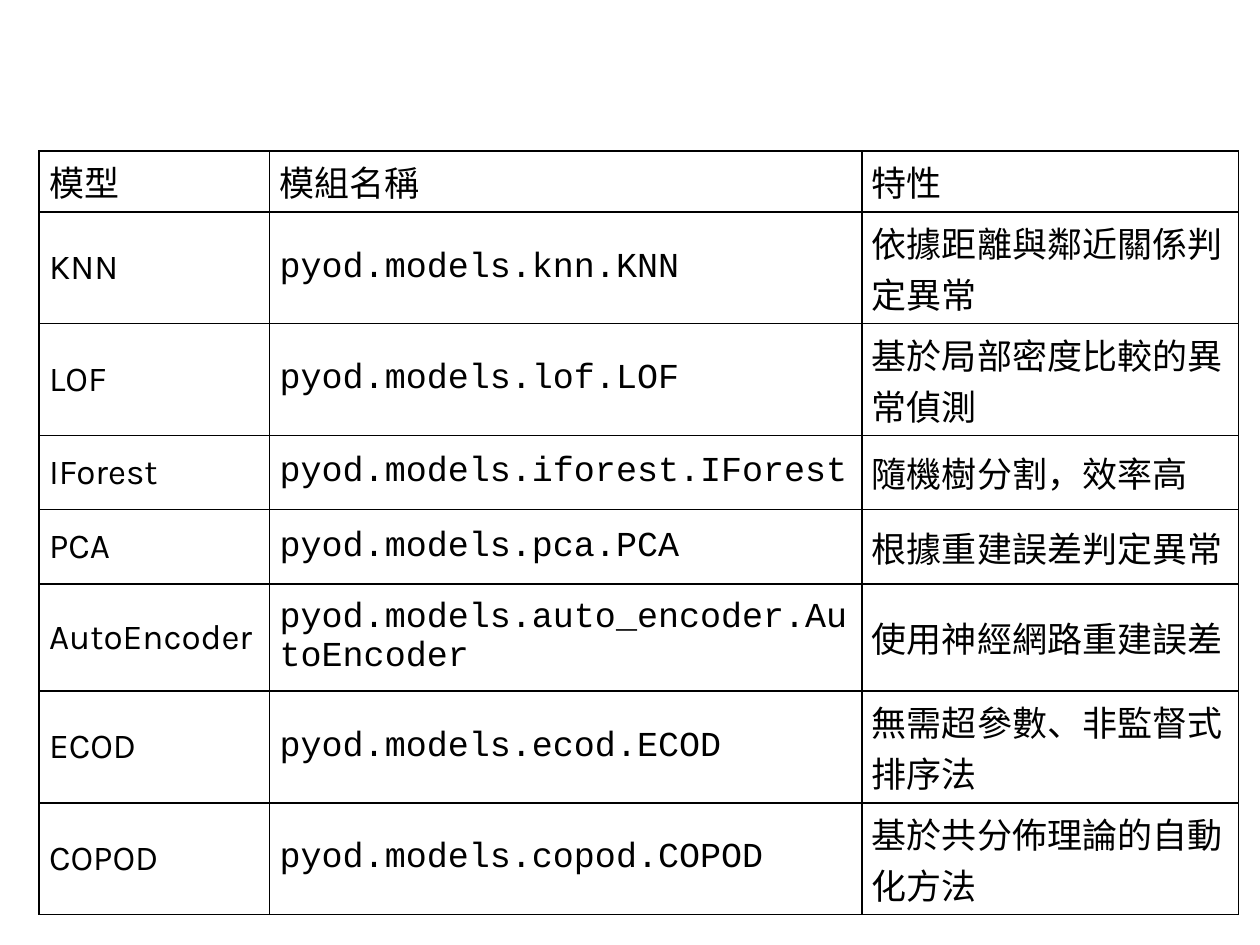
from lxml import etree
from pptx import Presentation
from pptx import util as u
from pptx.dml.color import RGBColor
from pptx.enum import text
from pptx.oxml.ns import qn

COLORS = {"ink": "000000", "paper": "FFFFFF"}
FONTS = {"body": "Karla", "code": "Courier New"}

prs = Presentation()
prs.slide_width, prs.slide_height = u.Inches(10), u.Inches(7.5)
s = prs.slides.add_slide(prs.slide_layouts[6])
s.background.fill.solid()
s.background.fill.fore_color.rgb = RGBColor.from_string(COLORS["paper"])

rows = [
    ("模型", "模組名稱", "特性"),
    ("KNN", "pyod.models.knn.KNN", "依據距離與鄰近關係判定異常"),
    ("LOF", "pyod.models.lof.LOF", "基於局部密度比較的異常偵測"),
    ("IForest", "pyod.models.iforest.IForest", "隨機樹分割，效率高"),
    ("PCA", "pyod.models.pca.PCA", "根據重建誤差判定異常"),
    ("AutoEncoder", "pyod.models.auto_encoder.AutoEncoder", "使用神經網路重建誤差"),
    ("ECOD", "pyod.models.ecod.ECOD", "無需超參數、非監督式排序法"),
    ("COPOD", "pyod.models.copod.COPOD", "基於共分佈理論的自動化方法"),
]
widths = [1.83, 4.7, 2.99]
heights = [0.34] + [0.59] * 4 + [0.85] + [0.59] * 2

table = s.shapes.add_table(
    len(rows), len(widths), u.Inches(0.31), u.Inches(1.2),
    u.Inches(sum(widths)), u.Inches(sum(heights))).table
table.first_row = False
table.horz_banding = False
for column, width in zip(table.columns, widths):
    column.width = u.Inches(width)
for row, height in zip(table.rows, heights):
    row.height = u.Inches(height)

for i, row in enumerate(rows):
    for j, label in enumerate(row):
        cell = table.cell(i, j)
        cell.margin_left = cell.margin_right = u.Inches(0.08)
        cell.margin_top = cell.margin_bottom = u.Inches(0.04)
        cell.vertical_anchor = text.MSO_ANCHOR.MIDDLE
        cell.text_frame.text = label
        font = cell.text_frame.paragraphs[0].runs[0].font
        font.size = u.Pt(20)
        font.name = FONTS["code" if i > 0 and j == 1 else "body"]
        font.color.rgb = RGBColor.from_string(COLORS["ink"])
        tcPr = cell._tc.get_or_add_tcPr()
        for side in ("lnL", "lnR", "lnT", "lnB"):
            ln = etree.SubElement(tcPr, qn(f"a:{side}"), w=str(u.Pt(1)))
            fill = etree.SubElement(ln, qn("a:solidFill"))
            etree.SubElement(fill, qn("a:srgbClr"), val=COLORS["ink"])
        cell.fill.background()

prs.save("out.pptx")
